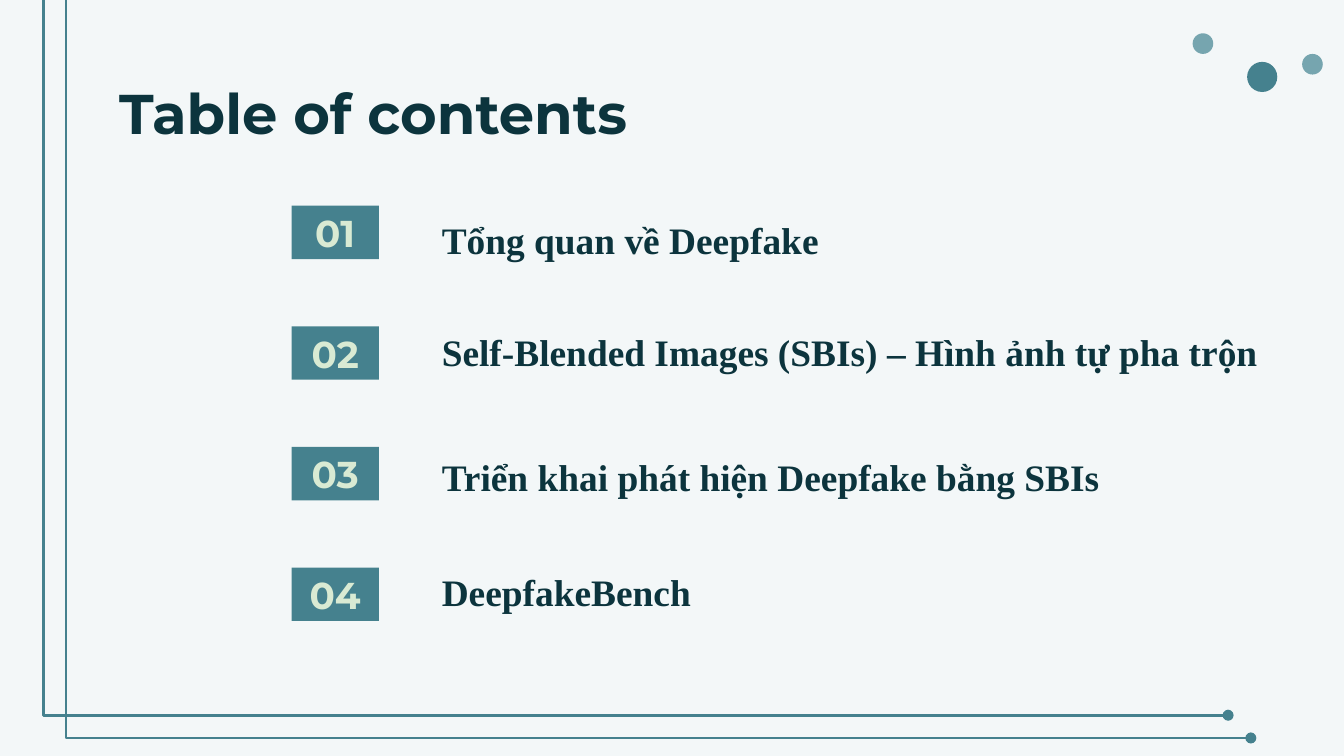
from lxml.etree import SubElement
from pptx import Presentation
from pptx.dml.color import RGBColor
from pptx.enum.shapes import MSO_CONNECTOR as Connector, MSO_SHAPE as Shape
from pptx.enum.text import MSO_ANCHOR as Anchor, PP_ALIGN as Align
from pptx.oxml.ns import qn
from pptx.util import Cm, Pt

BACKGROUND = RGBColor(0xF3, 0xF7, 0xF8)
TEAL = RGBColor(0x45, 0x81, 0x8E)
LIGHT_TEAL = RGBColor(0x76, 0xA5, 0xAF)
DARK = RGBColor(0x0C, 0x34, 0x3D)
PALE_GREEN = RGBColor(0xD9, 0xEA, 0xD3)

HEADING_FONT = "Montserrat"
ENTRY_FONT = "Times New Roman"

# number, title, drop below the row top, width, height, line spacing
ENTRIES = [
    ("01", "Tổng quan về Deepfake", 0, 11.79, 1.32, 1.15),
    ("02", "Self-Blended Images (SBIs) – Hình ảnh tự pha trộn", 0.13, 16.38, 1.02, 1.0),
    ("03", "Triển khai phát hiện Deepfake bằng SBIs", 0.21, 15.93, 1.02, 1.15),
    ("04", "DeepfakeBench", 0.1, 11.79, 1.02, 1.15),
]


def write_text(shape, text, size=20, font=ENTRY_FONT, color=DARK,
               align=Align.LEFT, anchor=Anchor.BOTTOM, spacing=1.0):
    frame = shape.text_frame
    frame.word_wrap = True
    frame.vertical_anchor = anchor
    frame.margin_left = frame.margin_right = Cm(0.25)
    frame.margin_top = frame.margin_bottom = Cm(0.25)
    paragraph = frame.paragraphs[0]
    paragraph.text = text
    paragraph.alignment = align
    paragraph.line_spacing = spacing
    paragraph.font.name = font
    paragraph.font.size = Pt(size)
    paragraph.font.bold = True
    paragraph.font.color.rgb = color


def add_filled(slide, preset, color, left, top, width, height):
    shape = slide.shapes.add_shape(preset, Cm(left), Cm(top), Cm(width), Cm(height))
    shape.shadow.inherit = False
    shape.fill.solid()
    shape.fill.fore_color.rgb = color
    shape.line.fill.background()
    return shape


def add_dots(slide, left, top):
    for across, down, diameter, color in [
        (1.03, 0.54, 0.57, TEAL),
        (0, 0, 0.39, LIGHT_TEAL),
        (2.07, 0.39, 0.39, LIGHT_TEAL),
    ]:
        add_filled(slide, Shape.OVAL, color, left + across, top + down, diameter, diameter)


def add_frame_line(slide, left, top, width, height):
    """Line running down the left side, then right to a round end."""
    line = slide.shapes.add_connector(
        Connector.ELBOW, Cm(left), Cm(top), Cm(left + width), Cm(top + height))
    line.line.color.rgb = TEAL
    line.line.width = Pt(1.5)
    properties = line._element.spPr
    bend = properties.find(qn("a:prstGeom")).find(qn("a:avLst"))
    SubElement(bend, qn("a:gd"), name="adj1", fmla="val -960")
    SubElement(properties.find(qn("a:ln")), qn("a:tailEnd"), type="oval")
    SubElement(properties, qn("a:effectLst"))


def add_heading(slide, left, top, width, height):
    box = slide.shapes.add_textbox(Cm(left), Cm(top), Cm(width), Cm(height))
    write_text(box, "Table of contents", size=30, font=HEADING_FONT, anchor=Anchor.TOP)


def add_contents(slide, left, top, row_pitch):
    for row, (number, title, drop, width, height, spacing) in enumerate(ENTRIES):
        row_top = top + row * row_pitch
        badge = add_filled(slide, Shape.RECTANGLE, TEAL, left, row_top, 1.65, 1.01)
        write_text(badge, number, font=HEADING_FONT, color=PALE_GREEN,
                   align=Align.CENTER, anchor=Anchor.MIDDLE)
        box = slide.shapes.add_textbox(
            Cm(left + 2.59), Cm(row_top + drop), Cm(width), Cm(height))
        write_text(box, title, spacing=spacing)


def main():
    presentation = Presentation()
    presentation.slide_width = Cm(25.4)
    presentation.slide_height = Cm(14.29)
    slide = presentation.slides.add_slide(presentation.slide_layouts[6])
    slide.background.fill.solid()
    slide.background.fill.fore_color.rgb = BACKGROUND

    add_dots(slide, 22.54, 0.63)
    for step in (0, 0.43):
        add_frame_line(slide, 1.04 + step, -0.61 + step, 22.17, 14.13)
    add_heading(slide, 2.0, 1.24, 21.41, 1.6)
    add_contents(slide, 5.51, 3.89, 2.28)
    presentation.save("out.pptx")


if __name__ == "__main__":
    main()
